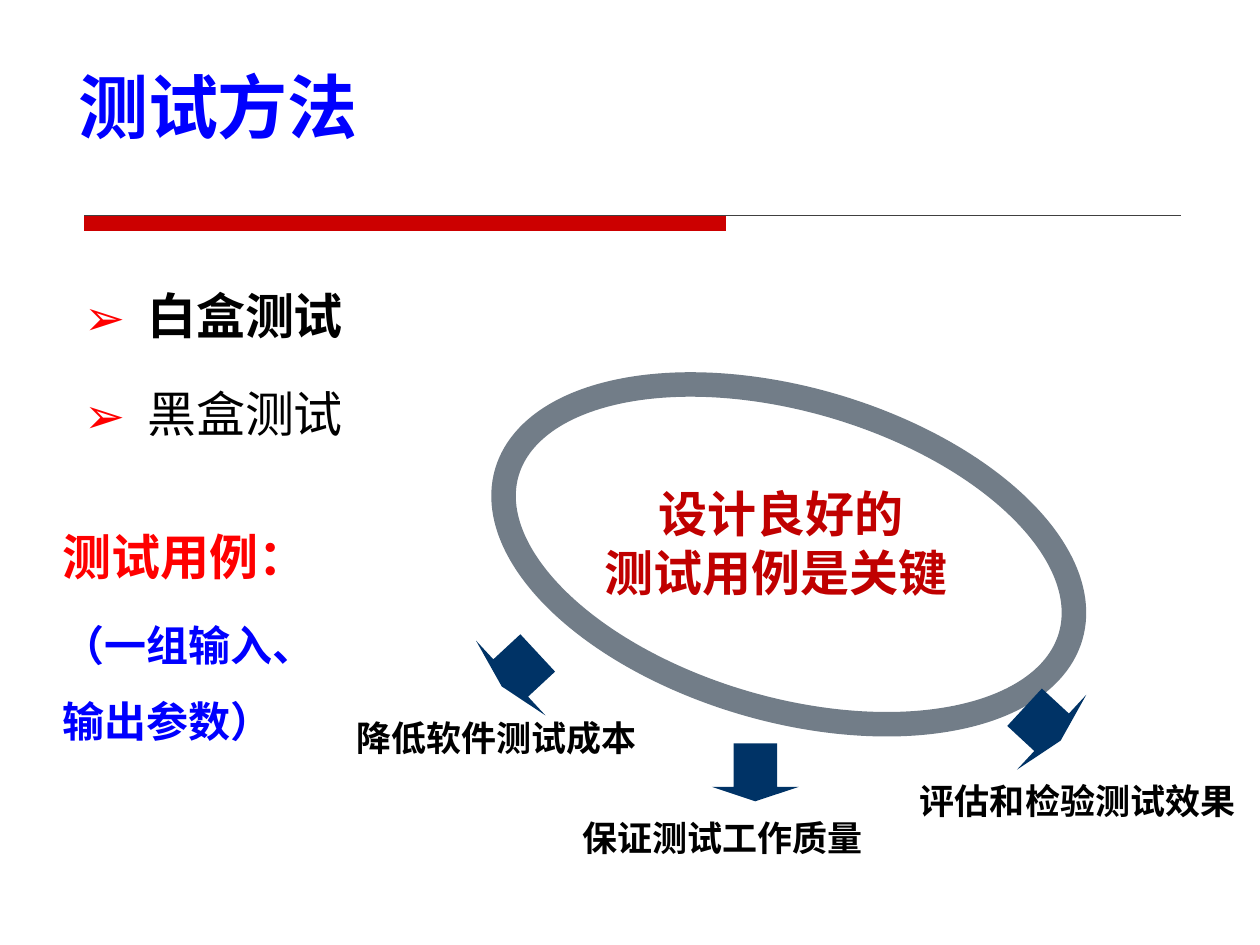
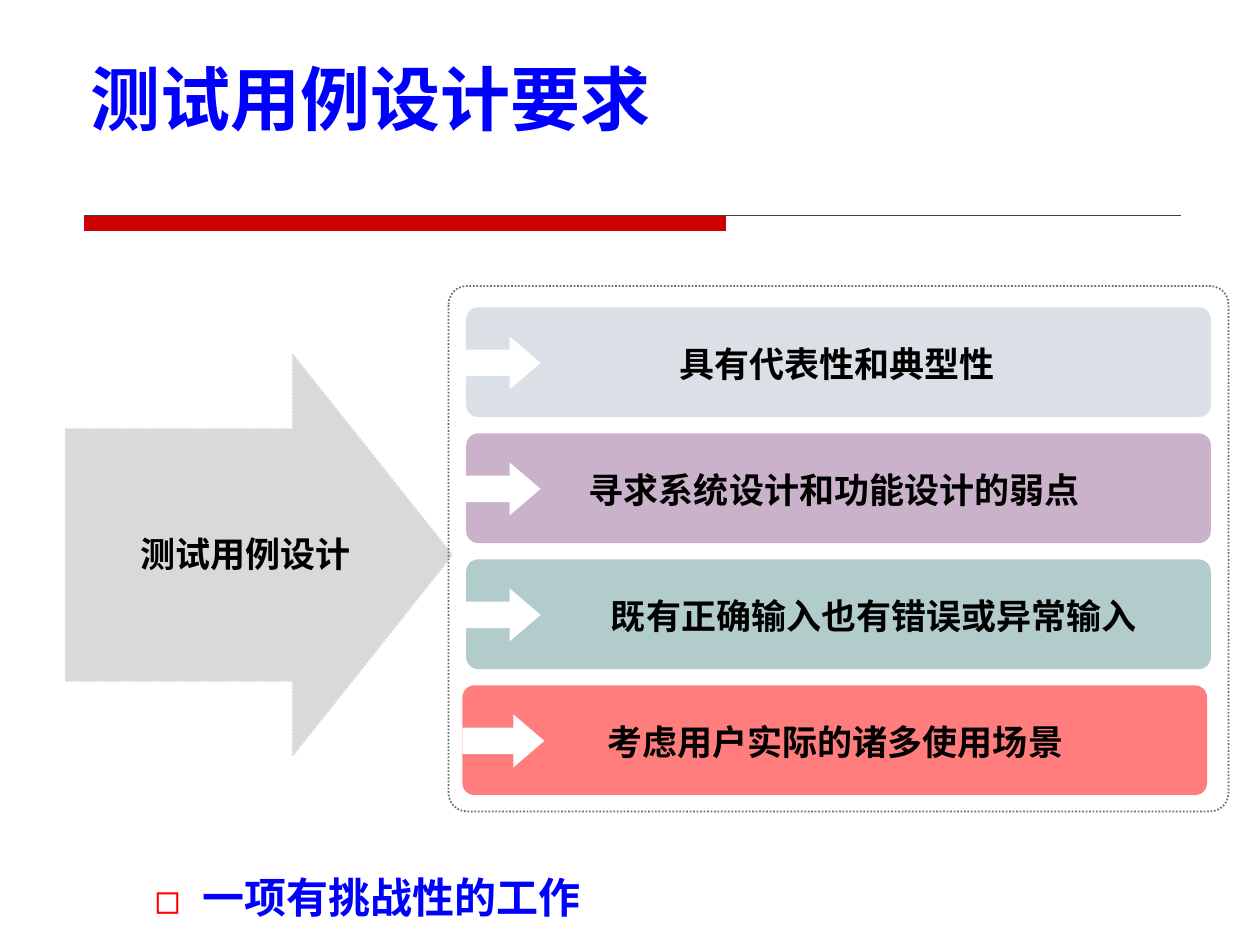
"""Build two slides on software testing methods and test case design."""
import copy

import pptx
import pptx.dml.color
import pptx.enum.dml
import pptx.enum.shapes
import pptx.enum.text
import pptx.oxml
import pptx.oxml.ns
import pptx.util

Inches = pptx.util.Inches
Pt = pptx.util.Pt
RGBColor = pptx.dml.color.RGBColor
SHAPE = pptx.enum.shapes.MSO_SHAPE
ALIGN = pptx.enum.text.PP_ALIGN
DOTTED = pptx.enum.dml.MSO_LINE.ROUND_DOT

BLACK = RGBColor(0x00, 0x00, 0x00)
WHITE = RGBColor(0xFF, 0xFF, 0xFF)
BLUE = RGBColor(0x00, 0x00, 0xFF)
RED = RGBColor(0xFF, 0x00, 0x00)
BAND_RED = RGBColor(0xCC, 0x00, 0x00)
RULE_GREY = RGBColor(0x40, 0x40, 0x40)
DARK_RED = RGBColor(0xC0, 0x00, 0x00)
NAVY = RGBColor(0x00, 0x33, 0x66)
RING_GREY = RGBColor(0x72, 0x7D, 0x88)
ARROW_GREY = RGBColor(0xD9, 0xD9, 0xD9)
ARROW_EDGE = RGBColor(0xDD, 0xDD, 0xDD)
FRAME_GREY = RGBColor(0x6E, 0x6E, 0x6E)
PALE_BLUE = RGBColor(0xDA, 0xE0, 0xE6)
MAUVE = RGBColor(0xCB, 0xB2, 0xCB)
TEAL = RGBColor(0xB2, 0xCC, 0xCC)
CORAL = RGBColor(0xFF, 0x7D, 0x7D)
CJK_FONT = "Noto Sans CJK SC"


def write_text(shape, text, size=20, color=BLACK, bold=True, font=CJK_FONT,
               align=ALIGN.CENTER, spacing=1.0, before=0, bullet=None, indent=0, new=False):
    """Write one paragraph, the first of the shape unless new is set."""
    frame = shape.text_frame
    frame.word_wrap = True
    paragraph = frame.add_paragraph() if new else frame.paragraphs[0]
    paragraph.alignment = align
    paragraph.line_spacing = spacing
    paragraph.space_before = Pt(before)
    run = paragraph.add_run()
    run.text = text
    run.font.size = Pt(size)
    run.font.bold = bold
    run.font.name = font
    run.font.color.rgb = color
    east_asian = pptx.oxml.parse_xml(
        f'<a:ea {pptx.oxml.ns.nsdecls("a")} typeface="{CJK_FONT}"/>')
    run.font._element.find(pptx.oxml.ns.qn("a:latin")).addnext(east_asian)
    if bullet:
        properties = paragraph._p.get_or_add_pPr()
        properties.set("marL", str(Inches(indent)))
        properties.set("indent", str(-Inches(indent)))
        for tag in (f'buClr {{}}><a:srgbClr val="{RED}"/></a:buClr>',
                    f'buFont {{}} typeface="{CJK_FONT}"/>',
                    f'buChar {{}} char="{bullet}"/>'):
            properties.append(pptx.oxml.parse_xml(
                "<a:" + tag.format(pptx.oxml.ns.nsdecls("a"))))


def paint(shape, fill=None, line=None, width=1.0, dash=None):
    """Set fill and outline, and drop the shadow."""
    shape.shadow.inherit = False
    if fill is None:
        shape.fill.background()
    else:
        shape.fill.solid()
        shape.fill.fore_color.rgb = fill
    if line is None:
        shape.line.fill.background()
    else:
        shape.line.color.rgb = line
        shape.line.width = Pt(width)
        shape.line.dash_style = dash
    return shape


presentation = pptx.Presentation()
presentation.slide_width = Inches(10)
presentation.slide_height = Inches(7.5)
layout = presentation.slide_layouts[5]

slides = []
for heading, left, top in (("测试方法", 0.52, 0.47), ("测试用例设计要求", 0.62, 0.41)):
    slide = presentation.slides.add_slide(layout)
    title = slide.shapes.title
    title.left, title.top = Inches(left), Inches(top)
    title.width, title.height = Inches(5.36), Inches(0.73)
    title.text_frame.auto_size = pptx.enum.text.MSO_AUTO_SIZE.NONE
    title.text_frame.vertical_anchor = pptx.enum.text.MSO_ANCHOR.MIDDLE
    write_text(title, heading, size=40, color=BLUE, align=ALIGN.LEFT)
    slides.append(slide)
methods, requirements = slides

band_left, band_top, band_right, band_bottom, rule_right = map(
    Inches, (0.67, 1.71, 5.76, 1.83, 9.37))
builder = methods.shapes.build_freeform(band_left, band_top)
builder.add_line_segments([(band_right, band_top), (band_right, band_bottom),
                           (band_left, band_bottom)], close=True)
builder.move_to(band_left, band_top)
builder.add_line_segments([(rule_right, band_top)], close=False)
band = paint(builder.convert_to_shape(), BAND_RED, RULE_GREY, 0.75)
bar_outline = band._element.find(".//" + pptx.oxml.ns.qn("a:path"))
rule_outline = copy.deepcopy(bar_outline)
bar_outline.set("stroke", "0")
for segment in bar_outline[-2:]:
    bar_outline.remove(segment)
for segment in rule_outline[:-2]:
    rule_outline.remove(segment)
bar_outline.addnext(rule_outline)
layout.shapes._spTree.append(band._element)

shapes = methods.shapes
method_list = shapes.add_textbox(Inches(0.57), Inches(1.98), Inches(2.76), Inches(1.61))
for index, method in enumerate(("白盒测试", "黑盒测试")):
    write_text(method_list, method, size=28, bold=index == 0, font="Times New Roman",
               align=ALIGN.LEFT, spacing=1.5, before=5.6, bullet="➢", indent=0.5, new=index > 0)

definition = shapes.add_textbox(Inches(0.4), Inches(3.9), Inches(2.38), Inches(2.1))
for index, (text, size, color) in enumerate(
        (("测试用例：", 28, RED), ("（一组输入、输出参数）", 24, BLUE))):
    write_text(definition, text, size=size, color=color, font="Times New Roman",
               align=ALIGN.LEFT, spacing=1.5, before=size / 5, new=index > 0)

ring = paint(shapes.add_shape(
    SHAPE.OVAL, Inches(3.93), Inches(3.17), Inches(4.66), Inches(2.46)),
    line=RING_GREY, width=14)
ring.rotation = 16.2

key_message = shapes.add_textbox(Inches(4.69), Inches(3.79), Inches(3.02), Inches(1.04))
for index, text in enumerate(("设计良好的", "测试用例是关键 ")):
    write_text(key_message, text, size=28, color=DARK_RED, new=index > 0)

for text, left, top, width in (("保证测试工作质量", 4.44, 6.43, 2.59),
                               ("评估和检验测试效果 ", 7.17, 6.14, 2.83),
                               ("降低软件测试成本", 2.7, 5.64, 2.48)):
    benefit = shapes.add_textbox(Inches(left), Inches(top), Inches(width), Inches(0.44))
    write_text(benefit, text, font="Calibri")

for left, top, width, height, rotation in ((3.72, 5.12, 0.81, 0.39, 47.1),
                                           (5.65, 5.9, 0.69, 0.46, 0),
                                           (7.87, 5.55, 0.81, 0.39, 312.8)):
    arrow = paint(shapes.add_shape(
        SHAPE.DOWN_ARROW, Inches(left), Inches(top), Inches(width), Inches(height)), NAVY)
    arrow.adjustments[0], arrow.adjustments[1] = 0.5, 0.25
    arrow.rotation = rotation

shapes = requirements.shapes
design_arrow = paint(shapes.add_shape(
    SHAPE.RIGHT_ARROW, Inches(0.52), Inches(2.81), Inches(3.07), Inches(3.19)),
    ARROW_GREY, ARROW_EDGE, dash=DOTTED)
design_arrow.adjustments[0], design_arrow.adjustments[1] = 0.628, 0.413
design_label = shapes.add_textbox(Inches(0.77), Inches(4.18), Inches(2.29), Inches(0.44))
write_text(design_label, " 测试用例设计")

frame = paint(shapes.add_shape(
    SHAPE.ROUNDED_RECTANGLE, Inches(3.56), Inches(2.27), Inches(6.19), Inches(4.17)),
    line=FRAME_GREY, dash=DOTTED)
frame.adjustments[0] = 0.035

for index, (text, color, bar_left, arrow_left, text_left, text_width) in enumerate((
        (" 具有代表性和典型性", PALE_BLUE, 3.7, 3.64, 4.29, 4.64),
        (" 寻求系统设计和功能设计的弱点", MAUVE, 3.7, 3.64, 4.27, 4.64),
        (" 既有正确输入也有错误或异常输入", TEAL, 3.7, 3.64, 4.29, 5.23),
        ("考虑用户实际的诸多使用场景", CORAL, 3.67, 3.67, 4.31, 4.64))):
    top = 2.44 + index
    bar = paint(shapes.add_shape(
        SHAPE.ROUNDED_RECTANGLE, Inches(bar_left), Inches(top), Inches(5.91), Inches(0.87)), color)
    bar.adjustments[0] = 0.109
    pointer = paint(shapes.add_shape(
        SHAPE.RIGHT_ARROW, Inches(arrow_left), Inches(top + 0.23), Inches(0.65), Inches(0.42)),
        WHITE)
    pointer.adjustments[0], pointer.adjustments[1] = 0.5, 0.583
    label = shapes.add_textbox(
        Inches(text_left), Inches(top + 0.23), Inches(text_width), Inches(0.44))
    write_text(label, text)

conclusion = shapes.add_textbox(Inches(1.13), Inches(6.75), Inches(3.77), Inches(0.63))
write_text(conclusion, "一项有挑战性的工作", size=24, color=BLUE, align=ALIGN.JUSTIFY,
           spacing=1.3, before=12, bullet="◻", indent=0.38)

presentation.save("out.pptx")
